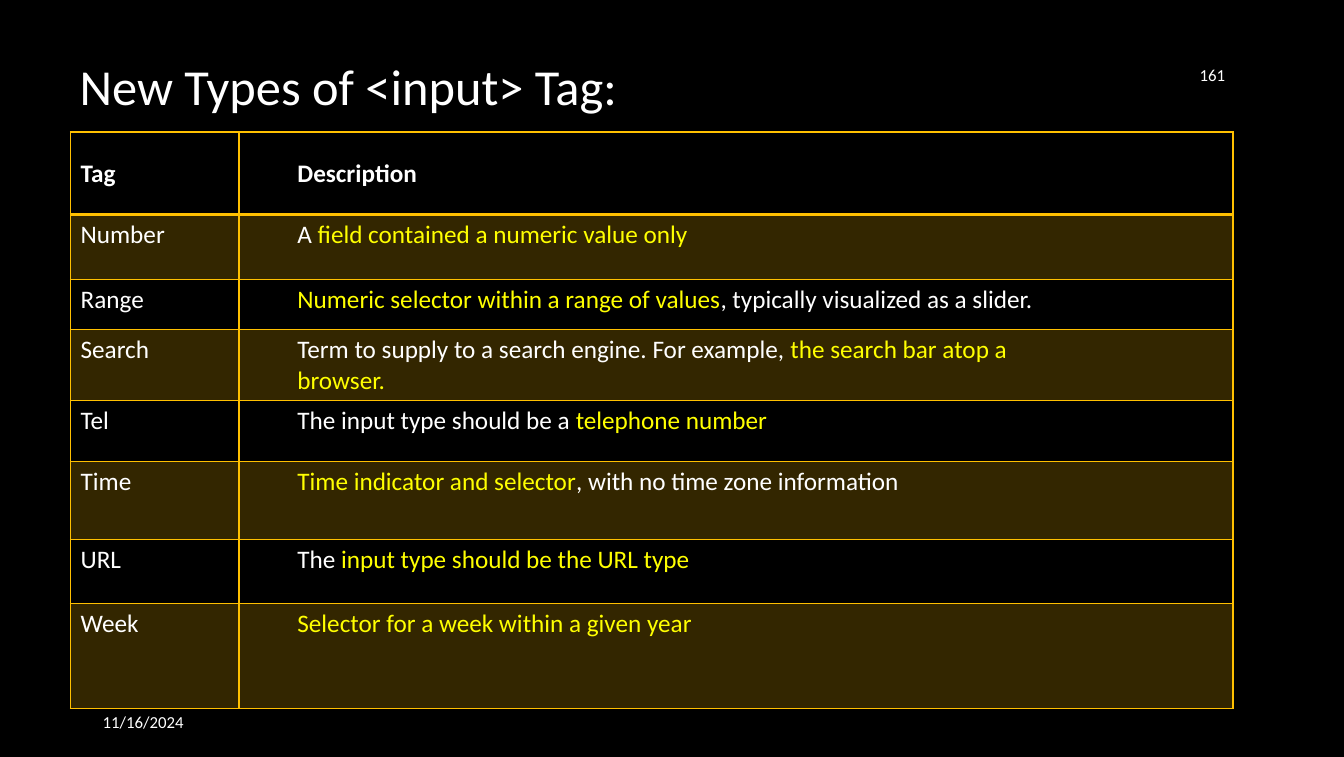
"""Build a slide with a table of the new input types."""
from lxml.etree import SubElement as Sub
from pptx import Presentation
from pptx.dml.color import RGBColor as Rgb
from pptx.enum.text import MSO_ANCHOR as Anchor, MSO_AUTO_SIZE as Auto, PP_ALIGN as Align
from pptx.oxml.ns import qn
from pptx.util import Inches, Pt

WHITE, YELLOW, GOLD, BLACK = "FFFFFF", "FFFF00", "FFC000", "000000"


def write(frame, text, size=18, bold=False, align=Align.LEFT):
    """Fill a frame; bars switch between white and yellow text."""
    frame.word_wrap = True
    for num, line in enumerate(text.split("\n")):
        para = frame.add_paragraph() if num else frame.paragraphs[0]
        para.alignment = align
        para.space_before = Pt(0)
        for turn, part in enumerate(line.split("|")):
            if part:
                run = para.add_run()
                run.text = part
                font = run.font
                font.name, font.size, font.bold = "Calibri", Pt(size), bold
                font.color.rgb = Rgb.from_string(YELLOW if turn % 2 else WHITE)


def edge(cell, sides):
    """Draw gold borders, given as pairs of tag and width."""
    props = cell._tc.get_or_add_tcPr()
    for tag, width in sides:
        line = Sub(props, qn(f"a:{tag}"), w=str(Pt(width)))
        Sub(Sub(line, qn("a:solidFill")), qn("a:srgbClr"), val=GOLD)


deck = Presentation()
deck.slide_width, deck.slide_height = Inches(13.33), Inches(7.51)
slide = deck.slides.add_slide(deck.slide_layouts[5])
back = slide.background.fill
back.solid()
back.fore_color.rgb = Rgb.from_string(BLACK)

title = slide.shapes.title
title.left, title.top = Inches(0.79), Inches(0.52)
title.width, title.height = Inches(6.37), Inches(0.63)
head = title.text_frame
head.margin_left = head.margin_right = head.margin_bottom = 0
head.margin_top = Inches(0.02)
head.vertical_anchor = Anchor.MIDDLE
head.auto_size = Auto.NONE
write(head, "New Types of <input> Tag:", size=36)

notes = [
    ("11/16/2024", (0.92, 6.96, 3, 0.4), Align.LEFT),
    ("161", (11.33, 0.32, 0.92, 0.84), Align.RIGHT),
]
for text, place, align in notes:
    frame = slide.shapes.add_textbox(*map(Inches, place)).text_frame
    frame.vertical_anchor = Anchor.MIDDLE
    write(frame, text, size=12, align=align)

rows = [
    ("Tag", "Description", 0.82),
    ("Number", "A |field contained a numeric value only", 0.64),
    ("Range", "|Numeric selector within a range of values|, typically visualized as a slider.", 0.5),
    ("Search", "Term to supply to a search engine. For example, |the search bar atop a\n|browser.", 0.7),
    ("Tel", "The input type should be a |telephone number", 0.61),
    ("Time", "|Time indicator and selector|, with no time zone information", 0.77),
    ("URL", "The |input type should be the URL type", 0.64),
    ("Week", "|Selector for a week within a given year", 1.04),
]
grid = slide.shapes.add_table(
    len(rows), 2, Inches(0.7), Inches(1.31), Inches(11.53), Inches(5.72)
).table
grid.first_row = grid.horz_banding = False
for col, width in zip(grid.columns, (1.67, 9.86)):
    col.width = Inches(width)

for num, (tag, about, height) in enumerate(rows):
    grid.rows[num].height = Inches(height)
    for col, (text, indent) in enumerate([(tag, 0.1), (about, 0.58)]):
        cell = grid.cell(num, col)
        cell.margin_left, cell.margin_right = Inches(indent), 0
        cell.margin_top, cell.margin_bottom = Inches(0.05 if num else 0.26), 0
        write(cell.text_frame, text, bold=num == 0)
        top, low = 2 if num == 1 else 1, 1 if num else 2
        edge(cell, [("lnL", 1), ("lnR", 1), ("lnT", top), ("lnB", low)])
        if num % 2:
            cell.fill.solid()
            cell.fill.fore_color.rgb = Rgb.from_string(GOLD)
            tint = cell._tc.tcPr.find(qn("a:solidFill")).find(qn("a:srgbClr"))
            Sub(tint, qn("a:alpha"), val="20000")
        else:
            cell.fill.background()

deck.save("out.pptx")
